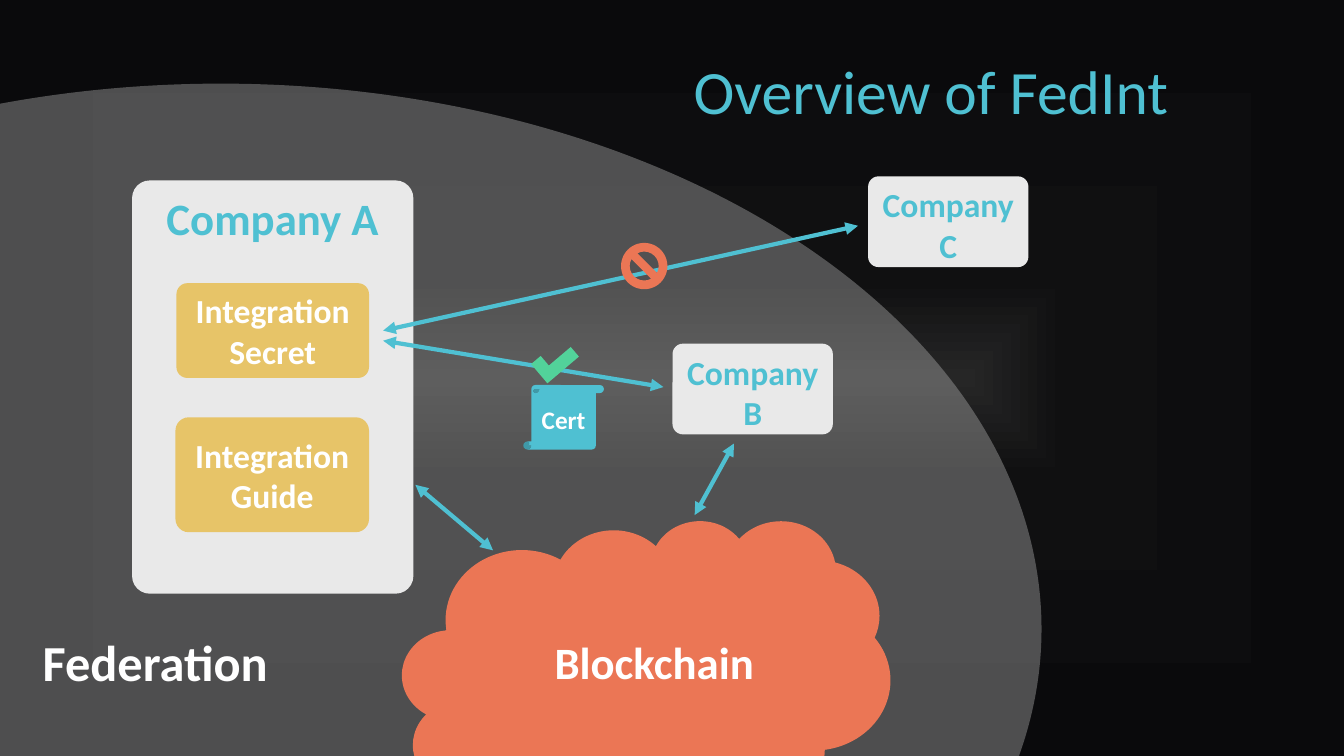
from lxml import etree
from pptx import Presentation
from pptx.dml.color import RGBColor
from pptx.enum.shapes import MSO_CONNECTOR, MSO_SHAPE as Kind
from pptx.enum.text import MSO_ANCHOR as Anchor, PP_ALIGN as Align
from pptx.oxml import parse_xml
from pptx.oxml.ns import nsdecls, qn
from pptx.util import Inches, Pt

TEAL = RGBColor(0x4F, 0xC0, 0xD2)
ORANGE = RGBColor(0xEB, 0x76, 0x55)
GOLD = RGBColor(0xE7, 0xC4, 0x68)
GREEN = RGBColor(0x52, 0xD2, 0x9A)
PALE = RGBColor(0xE9, 0xE9, 0xE9)
GREY = RGBColor(0xA6, 0xA6, 0xA6)
WHITE = RGBColor(0xFF, 0xFF, 0xFF)

deck = Presentation()
deck.slide_width, deck.slide_height = Inches(13.33), Inches(7.5)
slide = deck.slides.add_slide(deck.slide_layouts[6])
shapes = slide.shapes


def add_block(home, kind, box, color, adj=None):
    """Add a filled preset shape without line or shadow."""
    block = home.add_shape(kind, *map(Inches, box))
    block.shadow.inherit = False
    block.fill.solid()
    block.fill.fore_color.rgb = color
    block.line.fill.background()
    if adj is not None:
        block.adjustments[0] = adj
    return block


def put_text(shape, text, size, color, bold=True, align=Align.CENTER,
             anchor=Anchor.TOP, wrap=True):
    frame = shape.text_frame
    frame.text = text
    frame.word_wrap = wrap
    frame.vertical_anchor = anchor
    for para in frame.paragraphs:
        para.alignment = align
        font = para.runs[0].font
        font.name, font.size, font.bold = "Calibri", Pt(size), bold
        font.color.rgb = color


# Background: gradient running from the edges to the centre
slide.background.fill.gradient()
old = slide.element.find(".//" + qn("a:gradFill"))
stops = "".join(
    f'<a:gs pos="{pos}000"><a:srgbClr val="{tone}"/></a:gs>'
    for pos, tone in [(0, "262626"), (26, "101011"), (100, "0A0A0C")])
old.getparent().replace(old, parse_xml(
    f'<a:gradFill {nsdecls("a")} rotWithShape="1"><a:gsLst>{stops}</a:gsLst>'
    '<a:path path="rect"><a:fillToRect l="50000" t="50000" r="50000" b="50000"/>'
    '</a:path></a:gradFill>'))

# Federation area and company A
area = add_block(shapes, Kind.OVAL, (-5.95, 0.83, 16.28, 10.82), GREY)
tint = area.element.spPr.find(".//" + qn("a:srgbClr"))
etree.SubElement(tint, qn("a:alpha")).set("val", "44000")
host = add_block(shapes, Kind.ROUNDED_RECTANGLE, (1.31, 1.79, 2.79, 4.1), PALE, 0.063)
put_text(host, "Company A", 32, TEAL)

title = shapes.add_textbox(*map(Inches, (0.92, 0.21, 10.77, 1.45)))
put_text(title, "Overview of FedInt", 44, TEAL, False, Align.RIGHT, Anchor.MIDDLE)
title.text_frame.paragraphs[0].line_spacing = 0.9

# Blockchain cloud
chain = shapes.add_group_shape()
add_block(chain.shapes, Kind.CLOUD, (3.99, 5.16, 4.84, 3.26), ORANGE)
label = chain.shapes.add_textbox(*map(Inches, (5.39, 6.25, 2.2, 0.64)))
put_text(label, "Blockchain", 32, WHITE, wrap=False)

# Inner boxes and partner companies
for text, box, fill, ink, anchor in [
    ("Integration Secret", (1.75, 2.81, 1.91, 0.94), GOLD, WHITE, Anchor.MIDDLE),
    ("Integration\nGuide", (1.74, 4.14, 1.92, 1.14), GOLD, WHITE, Anchor.MIDDLE),
    ("Company C", (8.61, 1.75, 1.59, 0.9), PALE, TEAL, Anchor.TOP),
    ("Company B", (6.67, 3.41, 1.59, 0.9), PALE, TEAL, Anchor.TOP),
]:
    card = add_block(shapes, Kind.ROUNDED_RECTANGLE, box, fill, 0.115)
    put_text(card, text, 24, ink, anchor=anchor)

# Two-way arrows
for ends in [
    (4.89, 5.46, 4.12, 4.81),
    (7.28, 4.4, 6.89, 5.11),
    (6.58, 3.84, 3.8, 3.38),
    (8.51, 2.24, 3.8, 3.28),
]:
    link = shapes.add_connector(MSO_CONNECTOR.STRAIGHT, *map(Inches, ends))
    link.line.color.rgb = TEAL
    link.line.width = Pt(3)
    props = link.element.spPr
    for tag in ("a:headEnd", "a:tailEnd"):
        etree.SubElement(props.find(qn("a:ln")), qn(tag)).set("type", "triangle")
    etree.SubElement(props, qn("a:effectLst"))

# Marks on the arrows
add_block(shapes, Kind.NO_SYMBOL, (6.16, 2.41, 0.46, 0.46), ORANGE)
check = add_block(shapes, Kind.CORNER, (5.3, 3.45, 0.41, 0.25), GREEN)
check.rotation = 319.7

name = shapes.add_textbox(*map(Inches, (0.31, 6.21, 2.46, 0.71)))
put_text(name, "Federation", 36, WHITE, wrap=False)
cert = add_block(shapes, Kind.VERTICAL_SCROLL, (5.19, 3.82, 0.8, 0.64), TEAL)
put_text(cert, "Cert", 18, WHITE, anchor=Anchor.MIDDLE, wrap=False)

deck.save("out.pptx")
